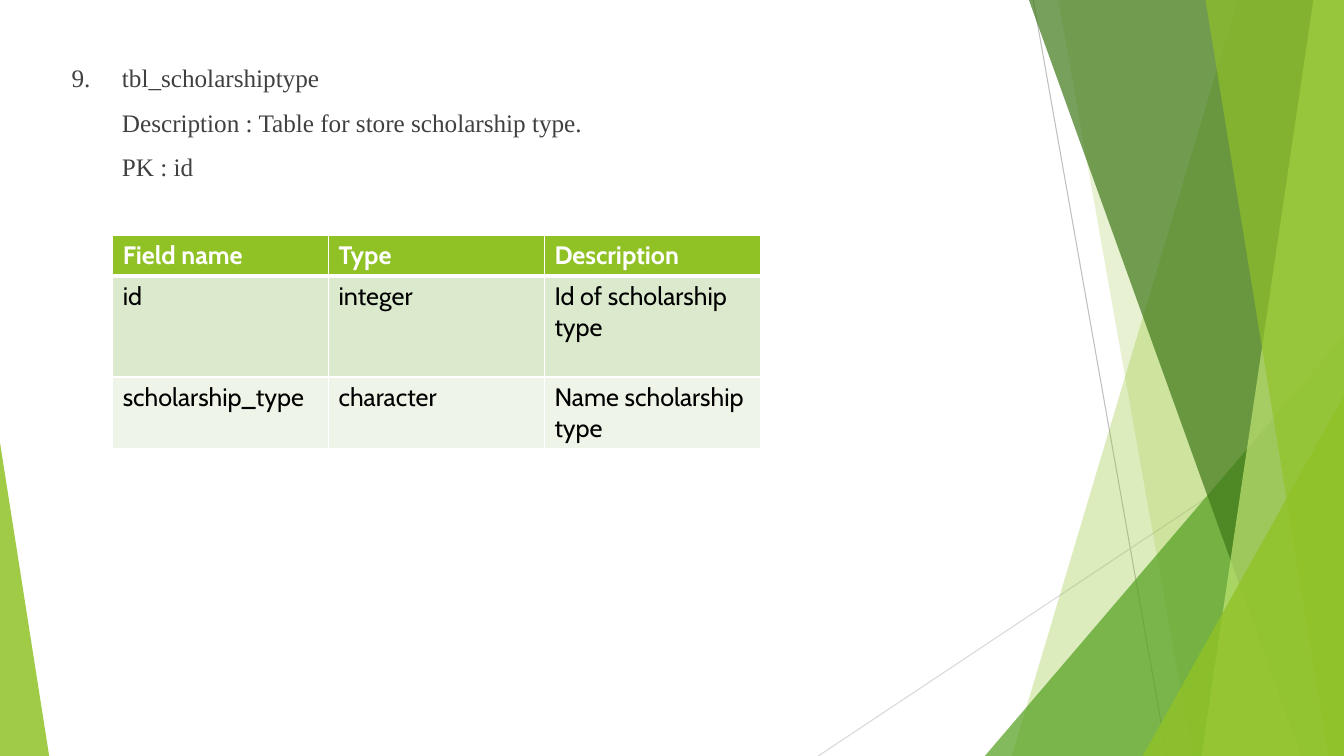
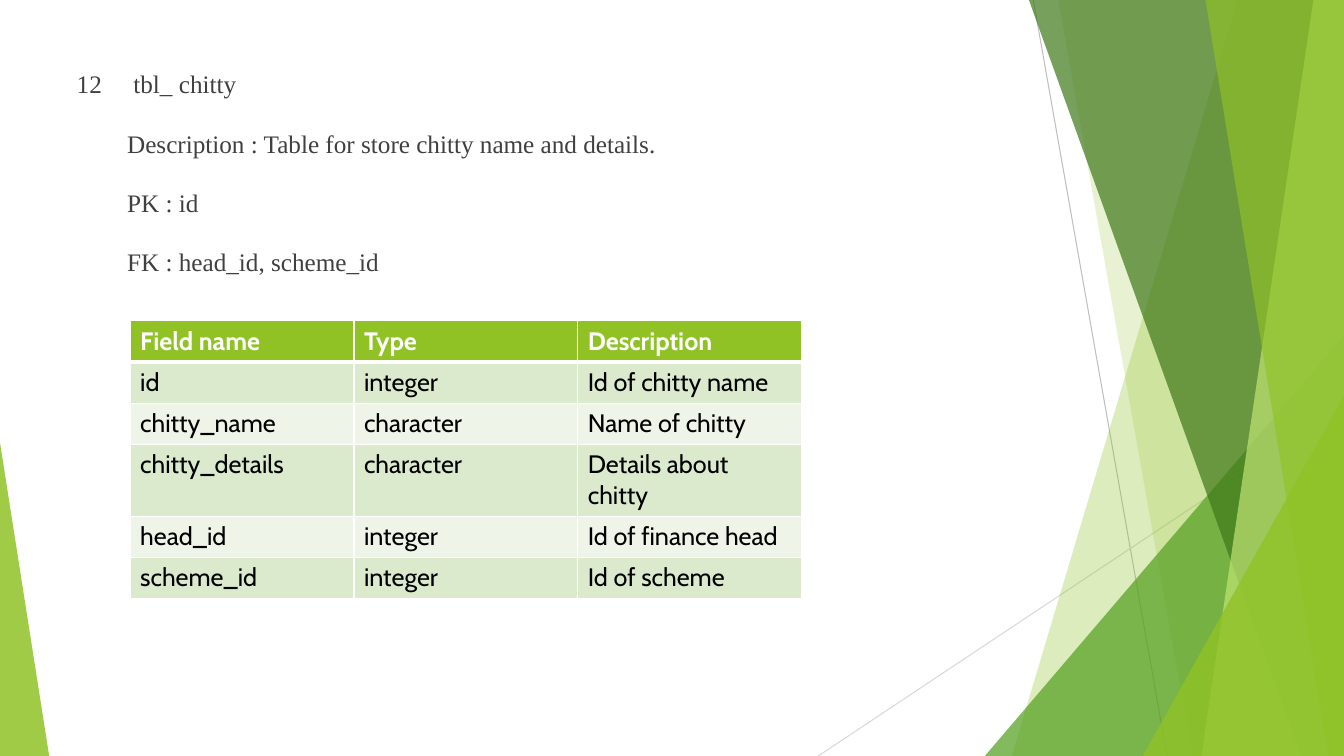
from dataclasses import dataclass

from lxml import etree
from pptx import Presentation
from pptx.dml.color import RGBColor
from pptx.enum.shapes import MSO_CONNECTOR, MSO_SHAPE
from pptx.enum.text import MSO_ANCHOR, MSO_AUTO_SIZE, PP_ALIGN
from pptx.oxml.ns import qn
from pptx.util import Cm, Pt

STRAIGHT = MSO_CONNECTOR.STRAIGHT
TRIANGLE = MSO_SHAPE.ISOSCELES_TRIANGLE
TOP = MSO_ANCHOR.TOP
NO_AUTOFIT = MSO_AUTO_SIZE.NONE
LEFT = PP_ALIGN.LEFT

SLIDE_W = 33.87
SLIDE_H = 19.05
INDENT = 1.27


@dataclass(frozen=True)
class Theme:
    lime: str = "90C226"
    green: str = "54A021"
    forest: str = "3F7819"
    pale_lime: str = "C0E474"
    band_dark: str = "DBE9CD"
    band_light: str = "EEF4E8"
    white: str = "FFFFFF"
    black: str = "000000"
    text: str = "404040"
    body_font: str = "Times New Roman"
    table_font: str = "Cabin"
    size: int = 18
    space_before: int = 10


THEME = Theme()
BODY_FORMAT = {"name": THEME.body_font, "size": Pt(THEME.size), "bold": False}
CELL_FORMAT = {"name": THEME.table_font, "size": Pt(THEME.size), "bold": False}
HEADER_FORMAT = {**CELL_FORMAT, "bold": True}


@dataclass(frozen=True)
class Ray:
    start: tuple[float, float]
    end: tuple[float, float]
    color: str


@dataclass(frozen=True)
class Wedge:
    top_x: float
    bottom_x: float
    color: str
    opacity: int


@dataclass(frozen=True)
class Corner:
    left: float
    top: float
    width: float
    apex: float
    color: str
    opacity: int


@dataclass(frozen=True)
class TableSlide:
    body_box: tuple[float, float, float, float]
    number: str
    lines: tuple[str, ...]
    line_spacing: float
    table_at: tuple[float, float]
    col_width: float
    row_heights: tuple[float, ...]
    rows: tuple[tuple[str, str, str], ...]


RAYS = (
    Ray((26.04, 0), (29.41, SLIDE_H), "BFBFBF"),
    Ray((SLIDE_W, 10.24), (20.62, SLIDE_H), "D9D9D9"),
)
FACETS = (
    Wedge(31.19, 25.5, THEME.lime, 30),
    Wedge(26.67, 30.05, THEME.lime, 20),
    Corner(24.82, 8.46, 9.05, 1, THEME.green, 72),
    Wedge(25.93, 32.79, THEME.forest, 70),
    Wedge(33.1, 30.28, THEME.pale_lime, 70),
    Wedge(30.38, 33.48, THEME.lime, 65),
    Corner(28.8, 9.98, 5.07, 1, THEME.lime, 80),
    Corner(0, 11.15, 1.24, 0, THEME.lime, 85),
)
HEADER = ("Field name", "Type", "Description")
SLIDES = (
    TableSlide(
        body_box=(1.55, 1.45, 24.21, 5.54),
        number="9. \ttbl_scholarshiptype",
        lines=("Description : Table for store scholarship type.", "PK : id"),
        line_spacing=1.0,
        table_at=(2.84, 5.92),
        col_width=5.44,
        row_heights=(1.04, 2.54, 1.78),
        rows=(
            ("id", "integer", "Id of scholarship type"),
            ("scholarship_type", "character", "Name scholarship type"),
        ),
    ),
    TableSlide(
        body_box=(1.68, 1.6, 24.1, 15.19),
        number="12\t tbl_ chitty",
        lines=(
            "Description : Table for store chitty name and details.",
            "PK : id",
            "FK : head_id, scheme_id",
        ),
        line_spacing=1.5,
        table_at=(3.28, 8.08),
        col_width=5.64,
        row_heights=(1.04, 1.04, 1.04, 1.78, 1.04, 1.04),
        rows=(
            ("id", "integer", "Id of chitty name"),
            ("chitty_name", "character", "Name of chitty"),
            ("chitty_details", "character", "Details about chitty"),
            ("head_id", "integer", "Id of finance head"),
            ("scheme_id", "integer", "Id of scheme"),
        ),
    ),
)


def rgb(color: str) -> RGBColor:
    return RGBColor.from_string(color)


def add_run(p, text: str, color: str, formats: dict) -> None:
    r = p.add_run()
    r.text = text
    for name, value in formats.items():
        setattr(r.font, name, value)
    r.font.color.rgb = rgb(color)


def draw_ray(s, ray: Ray):
    line = s.shapes.add_connector(
        STRAIGHT, *(Cm(v) for v in (*ray.start, *ray.end)))
    line.line.color.rgb = rgb(ray.color)
    line.line.width = Pt(0.75)
    etree.SubElement(line.element.spPr, qn("a:effectLst"))
    return line


def draw_facet(s, facet: Wedge | Corner):
    if isinstance(facet, Wedge):
        fb = s.shapes.build_freeform(Cm(facet.top_x), 0)
        corners = ((SLIDE_W, 0), (SLIDE_W, SLIDE_H), (facet.bottom_x, SLIDE_H))
        fb.add_line_segments([(Cm(x), Cm(y)) for x, y in corners], close=True)
        sp = fb.convert_to_shape()
    else:
        sp = s.shapes.add_shape(
            TRIANGLE, Cm(facet.left), Cm(facet.top),
            Cm(facet.width), Cm(SLIDE_H - facet.top))
        sp.adjustments[0] = facet.apex
    sp.shadow.inherit = False
    sp.line.fill.background()
    sp.fill.solid()
    sp.fill.fore_color.rgb = rgb(facet.color)
    color = sp.element.spPr.find(".//" + qn("a:srgbClr"))
    etree.SubElement(color, qn("a:alpha"), val=str(facet.opacity * 1000))
    return sp


def decorate_layout(layout, s) -> None:
    shapes = [draw_ray(s, ray) for ray in RAYS]
    shapes += [draw_facet(s, facet) for facet in FACETS]
    for i, sp in enumerate(shapes):
        sp.element.find(".//" + qn("p:cNvPr")).set("id", str(100 + i))
        layout.shapes.element.insert(2 + i, sp.element)


def fill_body(sp, spec_slide: TableSlide) -> None:
    sp.left, sp.top, sp.width, sp.height = (Cm(v) for v in spec_slide.body_box)
    tf = sp.text_frame
    tf.word_wrap = True
    tf.auto_size = NO_AUTOFIT
    tf.vertical_anchor = TOP
    for i, text in enumerate((spec_slide.number, *spec_slide.lines)):
        p = tf.add_paragraph() if i else tf.paragraphs[0]
        pPr = p._p.get_or_add_pPr()
        pPr.set("marL", str(Cm(INDENT)))
        pPr.set("indent", str(0 if i else -Cm(INDENT)))
        etree.SubElement(pPr, qn("a:buNone"))
        formats = {
            "alignment": LEFT,
            "line_spacing": spec_slide.line_spacing if i else 1.0,
            "space_before": Pt(THEME.space_before if i else 0),
        }
        for name, value in formats.items():
            setattr(p, name, value)
        add_run(p, text, THEME.text, BODY_FORMAT)


def add_borders(cell, top: int, bottom: int) -> None:
    tcPr = cell._tc.get_or_add_tcPr()
    for side, width in {"L": 1, "R": 1, "T": top, "B": bottom}.items():
        ln = etree.SubElement(tcPr, qn(f"a:ln{side}"), w=str(Pt(width)))
        fill = etree.SubElement(ln, qn("a:solidFill"))
        etree.SubElement(fill, qn("a:srgbClr"), val=THEME.white)


def add_field_table(s, content: TableSlide) -> None:
    rows = (HEADER, *content.rows)
    left, top = content.table_at
    tbl = s.shapes.add_table(
        len(rows), len(HEADER), Cm(left), Cm(top),
        Cm(content.col_width * len(HEADER)), Cm(sum(content.row_heights))).table
    for col in tbl.columns:
        col.width = Cm(content.col_width)
    for i, (row, height) in enumerate(zip(rows, content.row_heights)):
        tbl.rows[i].height = Cm(height)
        fill = (THEME.band_dark if i % 2 else THEME.band_light) if i else THEME.lime
        color = THEME.black if i else THEME.white
        formats = CELL_FORMAT if i else HEADER_FORMAT
        for j, text in enumerate(row):
            cell = tbl.cell(i, j)
            add_borders(cell, 3 if i == 1 else 1, 1 if i else 3)
            cell.fill.solid()
            cell.fill.fore_color.rgb = rgb(fill)
            add_run(cell.text_frame.paragraphs[0], text, color, formats)


def main() -> None:
    prs = Presentation()
    prs.slide_width, prs.slide_height = Cm(SLIDE_W), Cm(SLIDE_H)
    layout = prs.slide_layouts[1]
    for i, content in enumerate(SLIDES):
        s = prs.slides.add_slide(layout)
        if i == 0:
            decorate_layout(layout, s)
        title = s.shapes.title.element
        title.getparent().remove(title)
        fill_body(s.placeholders[1], content)
        add_field_table(s, content)
    prs.save("out.pptx")


if __name__ == "__main__":
    main()
